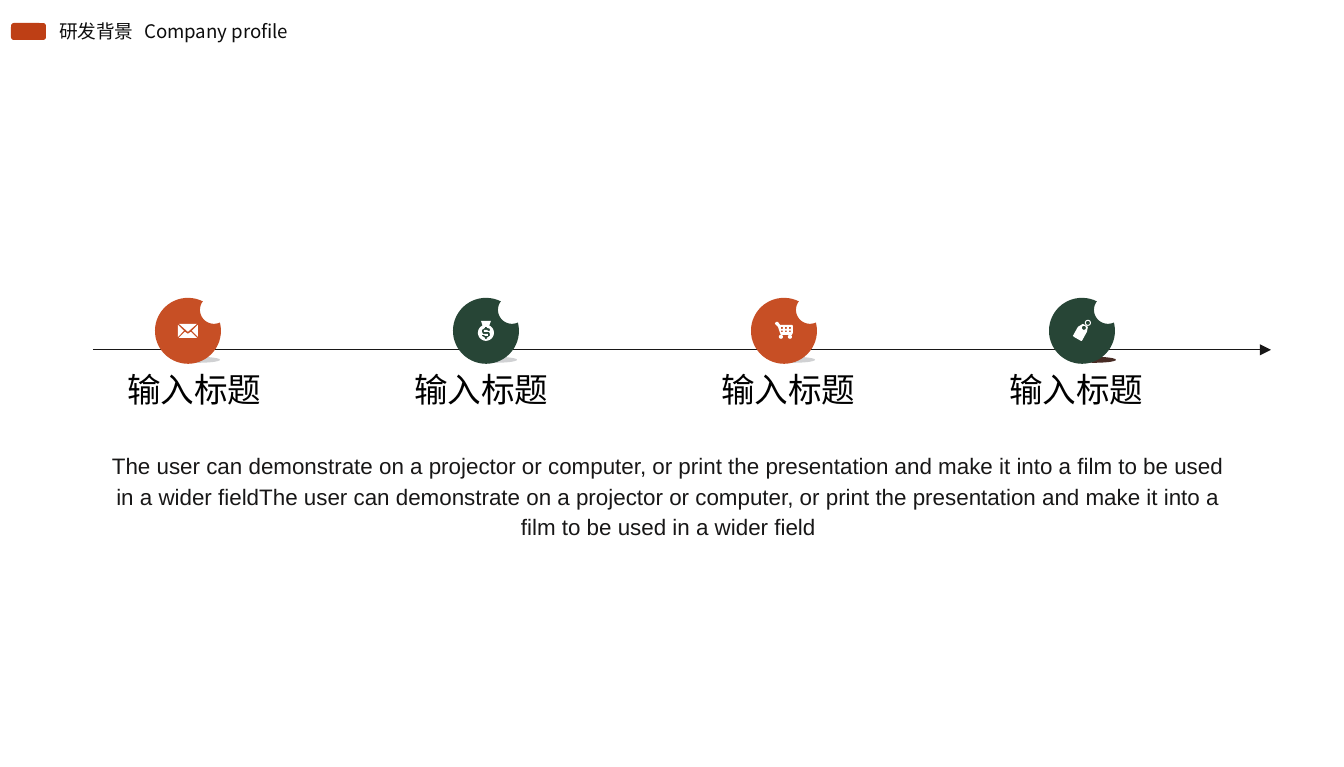
import math

from lxml import etree
from pptx import Presentation
from pptx import util as u
from pptx.dml.color import RGBColor
from pptx.enum import shapes, text
from pptx.oxml import ns

PX = 914400 / 134.4
ORANGE = RGBColor(0xC7, 0x4F, 0x25)
RUST = RGBColor(0xBE, 0x3F, 0x15)
GREEN = RGBColor(0x27, 0x45, 0x36)
BROWN = RGBColor(0x47, 0x2B, 0x24)
GREY = RGBColor(0x53, 0x58, 0x5F)
INK = RGBColor(0x18, 0x17, 0x17)
NEAR_BLACK = RGBColor(0x0D, 0x0D, 0x0D)
BLACK = RGBColor(0, 0, 0)
WHITE = RGBColor(0xFF, 0xFF, 0xFF)

CJK_FONT = "Noto Sans CJK SC"


def arc(x, y, r, start=0, end=360, steps=48):
    """Points along a circle, angles in degrees clockwise from the right."""
    angles = [math.radians(start + (end - start) * i / steps) for i in range(steps + 1)]
    return [(x + r * math.cos(a), y + r * math.sin(a)) for a in angles]


def add_text(box, words, size, font, color, wrap=True):
    """Text box at (left, top, width, height) px; returns its paragraph."""
    frame = slide.shapes.add_textbox(*[round(v * PX) for v in box]).text_frame
    frame.word_wrap = wrap
    frame.auto_size = text.MSO_AUTO_SIZE.SHAPE_TO_FIT_TEXT
    run = frame.paragraphs[0].add_run()
    run.text = words
    run.font.size = u.Pt(size)
    run.font.name = font
    run.font.color.rgb = color
    etree.SubElement(run._r.get_or_add_rPr(), ns.qn("a:ea"), typeface=CJK_FONT)
    return frame.paragraphs[0]


prs = Presentation()
prs.slide_width = u.Inches(10)
prs.slide_height = u.Inches(5.71)
slide = prs.slides.add_slide(prs.slide_layouts[6])

# Header
add_text((46, 13, 102, 36), "研发背景", 10, CJK_FONT, NEAR_BLACK, wrap=False)
add_text((131, 13, 246, 36), "Company profile", 10, CJK_FONT, NEAR_BLACK)
marker = slide.shapes.add_shape(
    shapes.MSO_SHAPE.ROUNDED_RECTANGLE, *[round(v * PX) for v in (11, 23, 35, 17)])
marker.shadow.inherit = False
marker.fill.solid()
marker.fill.fore_color.rgb = RUST
marker.line.fill.background()

# Description
sentence = ("The user can demonstrate on a projector or computer, or print the "
            "presentation and make it into a film to be used in a wider field")
description = add_text((92, 442, 1153, 137), sentence * 2, 12, "Arial", INK)
description.alignment = text.PP_ALIGN.CENTER
description.line_spacing = 1.14

# Timeline arrow
timeline = slide.shapes.add_connector(
    shapes.MSO_CONNECTOR.STRAIGHT, *[round(v * PX) for v in (93, 350, 1271, 350)])
timeline.line.color.rgb = INK
timeline.line.width = u.Pt(0.5)
etree.SubElement(timeline.line._get_or_add_ln(), ns.qn("a:tailEnd"), type="triangle")
etree.SubElement(timeline._element.spPr, ns.qn("a:effectLst"))

# Outlines in px around the centre of a disc
bitten_disc = [arc(0, 0, 33, -14, 297) + arc(26, -21, 14, 216, 65)]
envelope = [
    [(10, -6), (10, 6), (4, 0)],
    [(9, -7), (0, 1), (-9, -7)],
    [(9, 7), (-9, 7), (-3, 1), (0, 3), (3, 1)],
    [(-10, -6), (-4, 0), (-10, 6)],
]
money_bag = [
    arc(0, 2, 8, -65, 245) + [(-5, -10), (5, -10)],
    [(-1, -4), (1, -4), (1, -3), (4, -2), (4, 0), (2, 0), (1, -1), (-2, -1), (-2, 1),
     (3, 1), (4, 3), (4, 5), (1, 7), (1, 8), (-1, 8), (-1, 7), (-4, 5), (-4, 4),
     (-2, 4), (-1, 5), (2, 5), (2, 3), (-3, 3), (-4, 1), (-4, -1), (-1, -3)],
]
cart = [
    [(9, -5), (9, 2), (8, 4), (-3, 4), (-4, 2), (-6, -4), (-8, -6), (-9, -7),
     (-8, -9), (-6, -9), (-4, -6), (8, -6)],
    arc(-3, 6, 2), arc(6, 6, 2),
] + [[(x, y), (x + 2, y), (x + 2, y + h), (x, y + h)]
     for x in (-3, 1, 5) for y, h in ((-4, 2), (0, 1))]
price_tag = [
    [(5, 1), (0, 10), (-1, 10), (-8, 6), (-9, 5), (-4, -4), (1, -7), (6, -4)],
    arc(2, -3, 2), arc(6, -8, 3), arc(6, -8, 2),
]

# Milestones: disc colour, icon, shadow left, shadow colour, label left
milestones = [
    (ORANGE, envelope, 177, GREY, 114),
    (GREEN, money_bag, 474, GREY, 401),
    (ORANGE, cart, 772, GREY, 708),
    (GREEN, price_tag, 1073, BROWN, 996),
]
for i, (disc_color, icon, shade_left, shade_color, label_left) in enumerate(milestones):
    centre_x, centre_y = 188 + 298 * i, 331
    badge = slide.shapes.add_group_shape().shapes
    shade = badge.add_shape(
        shapes.MSO_SHAPE.OVAL, *[round(v * PX) for v in (shade_left, 357, 43, 6)])
    parts = [(shade, shade_color)]
    for contours, color in ((bitten_disc, disc_color), (icon, WHITE)):
        rings = [[(round((centre_x + x) * PX), round((centre_y + y) * PX))
                  for x, y in ring] for ring in contours]
        outline = badge.build_freeform(*rings[0][0])
        outline.add_line_segments(rings[0][1:])
        for ring in rings[1:]:
            outline.move_to(*ring[0])
            outline.add_line_segments(ring[1:])
        parts.append((outline.convert_to_shape(), color))
    for part, color in parts:
        part.shadow.inherit = False
        part.fill.solid()
        part.fill.fore_color.rgb = color
        part.line.fill.background()
    if shade_color == GREY:
        tint = shade._element.spPr.find(".//" + ns.qn("a:srgbClr"))
        etree.SubElement(tint, ns.qn("a:alpha"), val="27000")
    add_text((label_left, 363, 171, 54), "输入标题", 18, "Calibri", BLACK, wrap=False)

prs.save("out.pptx")
